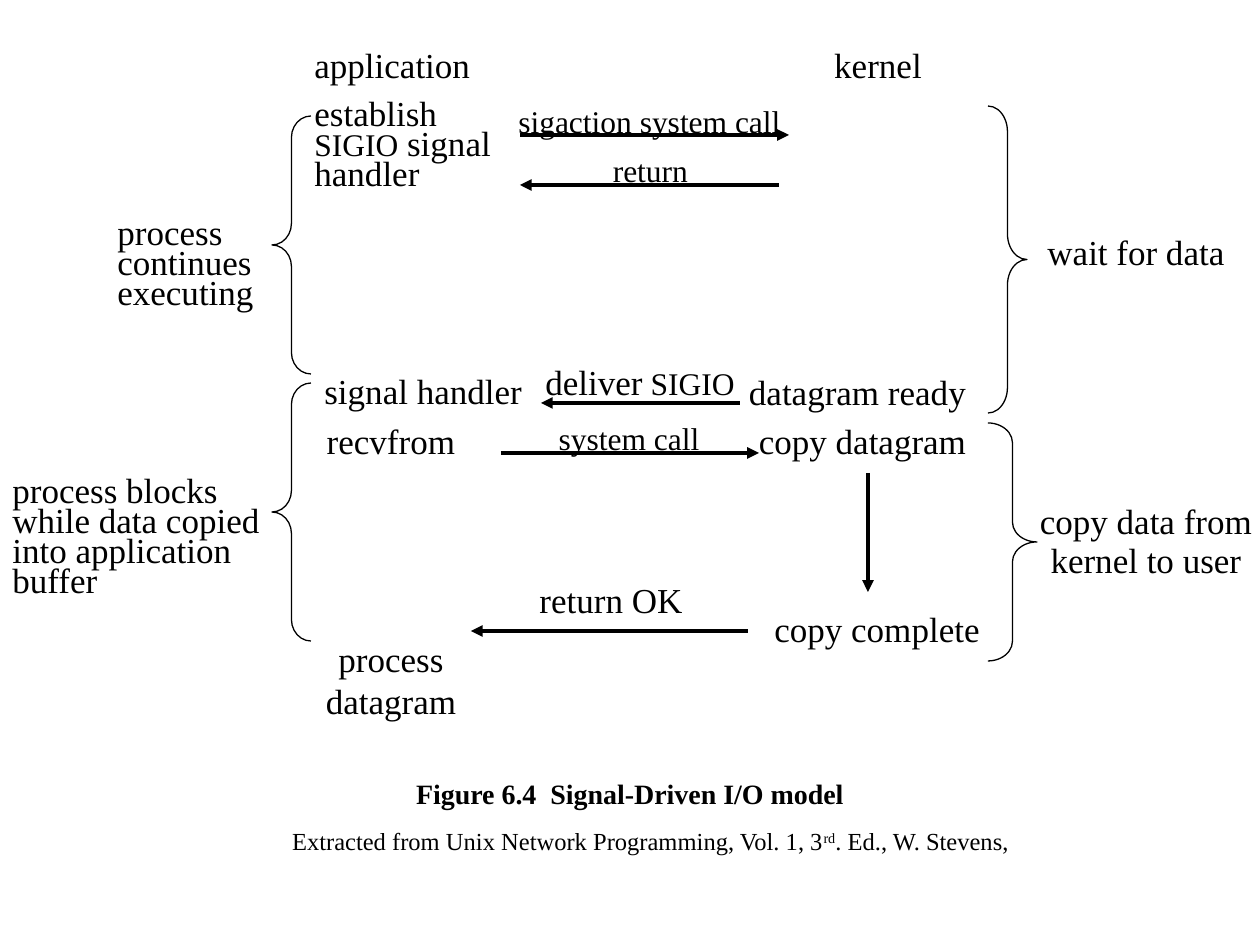
import pptx
import pptx.util
import pptx.dml.color
import pptx.enum.shapes
import pptx.enum.text
import pptx.oxml
import pptx.oxml.ns

SCALE = 914400 / 126
HUES = {"ink": "000000"}
KINDS = pptx.enum.shapes.MSO_SHAPE
ALIGN = pptx.enum.text.PP_ALIGN


def emu(px):
    return pptx.util.Emu(round(px * SCALE))


class Page:
    face = "Times New Roman"
    ink = pptx.dml.color.RGBColor.from_string(HUES["ink"])

    def __init__(self, slide):
        self.slide = slide

    def style(self, run, size, bold=False):
        run.font.name = self.face
        run.font.size = pptx.util.Pt(size)
        run.font.bold = bold
        run.font.color.rgb = self.ink

    def label(self, text, x, y, w, h=55, size=20, mid=True, bold=False):
        box = self.slide.shapes.add_textbox(*map(emu, (x, y, w, h)))
        frame = box.text_frame
        frame.word_wrap = True
        frame.auto_size = pptx.enum.text.MSO_AUTO_SIZE.SHAPE_TO_FIT_TEXT
        para = frame.paragraphs[0]
        para.alignment = ALIGN.CENTER if mid else ALIGN.LEFT
        parts = [(text, size)] if isinstance(text, str) else text
        for words, points in parts:
            run = para.add_run()
            run.text = words
            self.style(run, points, bold)
        return para

    def stack(self, x, y, rows, step=30):
        for i, (text, w) in enumerate(rows):
            self.label(text, x, y + i * step, w, mid=False)

    def arrow(self, x1, y1, x2, y2):
        line = self.slide.shapes.add_connector(
            pptx.enum.shapes.MSO_CONNECTOR.STRAIGHT,
            *map(emu, (x1, y1, x2, y2)))
        line.line.color.rgb = self.ink
        line.line.width = pptx.util.Pt(2.25)
        props = line._element.spPr
        edge = line.line._get_or_add_ln()
        tip = pptx.oxml.parse_xml(
            f'<a:tailEnd {pptx.oxml.ns.nsdecls("a")} type="triangle"/>')
        edge.append(tip)
        props.append(pptx.oxml.parse_xml(
            f'<a:effectLst {pptx.oxml.ns.nsdecls("a")}/>'))

    def brace(self, kind, x, y, w, h):
        shape = self.slide.shapes.add_shape(kind, *map(emu, (x, y, w, h)))
        shape.adjustments[0] = h / 12 / w
        shape.shadow.inherit = False
        shape.fill.background()
        shape.line.color.rgb = self.ink
        shape.line.width = pptx.util.Pt(0.75)


def main():
    deck = pptx.Presentation()
    deck.slide_width, deck.slide_height = emu(1260), emu(945)
    page = Page(deck.slides.add_slide(deck.slide_layouts[6]))

    page.label("application", 302, 37, 198, mid=False)
    page.label("kernel", 779, 37, 198)

    page.stack(302, 85, [
        ("establish", 198),
        ([("SIGIO", 18), (" signal", 20)], 208),
        ("handler", 198)])
    page.stack(105, 204, [
        ("process", 312), ("continues", 277), ("executing", 353)])
    page.stack(0, 462, [
        ("process blocks", 353), ("while data copied", 377),
        ("into application", 377), ("buffer", 377)])

    page.label("signal handler", 312, 363, 228, mid=False)
    page.label("recvfrom", 292, 413, 198)
    page.label("process datagram", 292, 631, 198, 97)

    page.label("datagram ready", 709, 364, 297)
    page.label("copy datagram", 709, 413, 307)
    page.label("copy complete", 748, 601, 258)

    page.label("wait for data", 1012, 224, 248)
    page.label("copy data from", 1007, 493, 278)
    page.label("kernel to user", 1007, 532, 278)

    for ends in [
            (520, 135, 789, 135), (779, 185, 520, 185),
            (740, 403, 541, 403), (501, 453, 759, 453),
            (868, 473, 868, 592), (748, 631, 471, 631)]:
        page.arrow(*ends)

    page.label("sigaction system call", 501, 96, 297, 50, 18)
    page.label("return", 512, 145, 277, 50, 18)
    page.label([("deliver", 20), (" SIGIO", 18)], 501, 354, 278)
    page.label("system call", 520, 413, 218, 50, 18)
    page.label("return OK", 512, 572, 198)

    for kind, *area in [
            (KINDS.LEFT_BRACE, 272, 116, 39, 258),
            (KINDS.LEFT_BRACE, 272, 383, 39, 258),
            (KINDS.RIGHT_BRACE, 988, 106, 39, 307),
            (KINDS.RIGHT_BRACE, 988, 423, 49, 238)]:
        page.brace(kind, *area)

    page.label("Figure 6.4  Signal-Driven I/O model",
               0, 770, 1260, 47, 16, bold=True)
    note = page.label([
        ("Extracted from Unix Network Programming, Vol. 1, 3", 14),
        ("rd", 14), (". Ed., W. Stevens,", 14)], 266, 820, 769, 43)
    note.runs[1]._r.get_or_add_rPr().set("baseline", "30000")

    deck.save("out.pptx")


if __name__ == "__main__":
    main()
